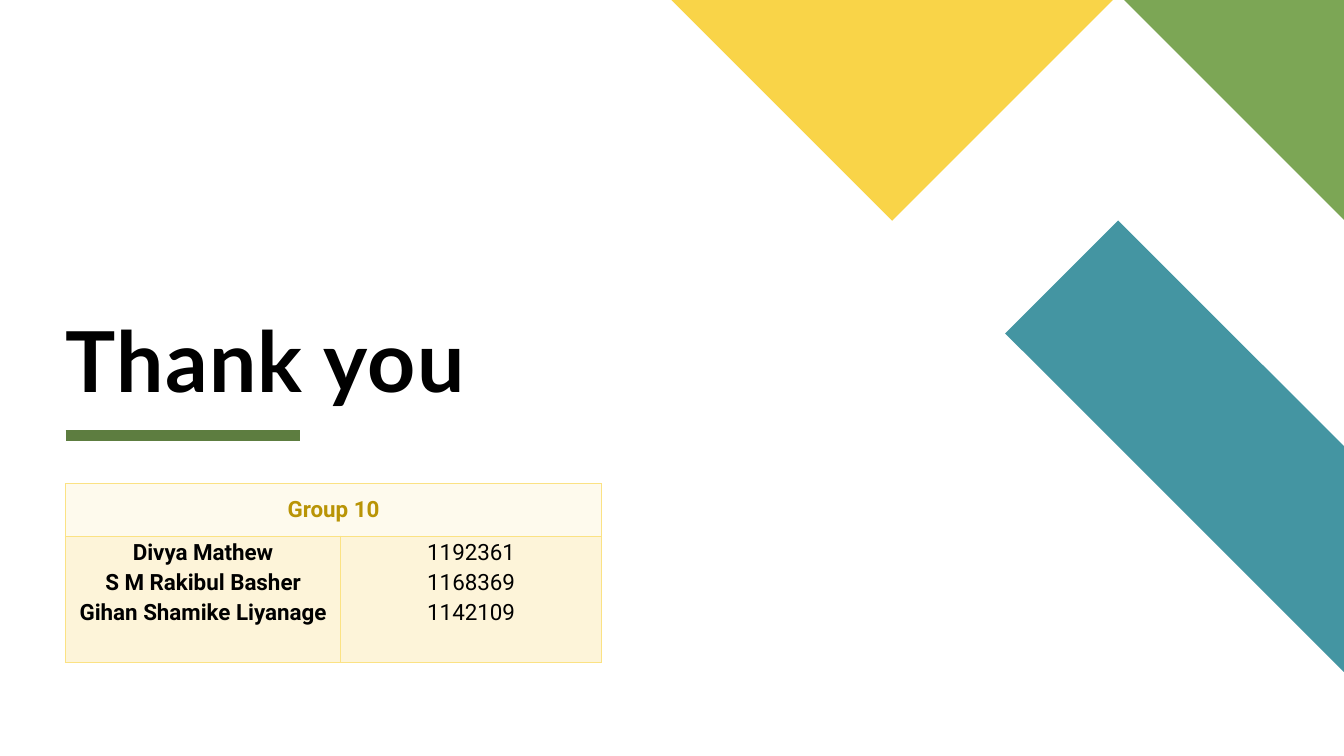
from dataclasses import dataclass
from itertools import product

from pptx import Presentation
from pptx.dml.color import RGBColor as Rgb
from pptx.enum.shapes import MSO_CONNECTOR as Connector
from pptx.enum.text import MSO_ANCHOR as Anchor, PP_ALIGN as Align
from pptx.oxml.ns import qn
from pptx.slide import Slide
from pptx.table import _Cell as Cell
from pptx.text.text import _Paragraph as Paragraph
from pptx.util import Pt
from lxml.etree import SubElement

COLOURS = {
    "teal": "4495A2", "green": "7CA655", "yellow": "F9D448",
    "rule": "5D7D40", "ink": "000000", "border": "FBE284",
    "heading": "B99406", "heading_fill": "FEFAED", "body_fill": "FDF4D9",
}
LEFT = 46.8


@dataclass(frozen=True)
class Corner:
    points: tuple[tuple[float, float], ...]
    colour: str


@dataclass(frozen=True)
class Entry:
    row: int
    column: int
    lines: tuple[str, ...]
    colour: str
    fill: str
    bold: bool
    spacing: float


CORNERS = (
    Corner(((960, 480), (960, 318.7), (798.7, 157.5), (718, 238.2)), "teal"),
    Corner(((960, 157), (960, 0), (803, 0)), "green"),
    Corner(((479.6, 0), (637.3, 157.7), (795, 0)), "yellow"),
)
MEMBERS = (
    ("Divya Mathew", "1192361"),
    ("S M Rakibul Basher", "1168369"),
    ("Gihan Shamike Liyanage", "1142109"),
)
NAMES, NUMBERS = zip(*MEMBERS)
ENTRIES = (
    Entry(0, 0, ("Group 10",), "heading", "heading_fill", True, 1.5),
    Entry(1, 0, NAMES, "ink", "body_fill", True, 1.15),
    Entry(1, 1, NUMBERS, "ink", "body_fill", False, 1.15),
)


def rgb(name: str) -> Rgb:
    return Rgb.from_string(COLOURS[name])


def add_run(paragraph: Paragraph, text: str, font: str, size: float,
            colour: str, bold: bool, tracking: float = 0) -> None:
    run = paragraph.add_run()
    run.text = text
    run.font.name = font
    run.font.size = Pt(size)
    run.font.bold = bold
    run.font.color.rgb = rgb(colour)
    if tracking:
        run._r.get_or_add_rPr().set("spc", str(round(tracking * 100)))


def draw_corner(slide: Slide, corner: Corner) -> None:
    start, *others = [(Pt(x), Pt(y)) for x, y in corner.points]
    builder = slide.shapes.build_freeform(*start)
    builder.add_line_segments(others, close=True)
    block = builder.convert_to_shape()
    block.shadow.inherit = False
    block.fill.solid()
    block.fill.fore_color.rgb = rgb(corner.colour)
    block.line.fill.background()


def draw_title(slide: Slide) -> None:
    rule = slide.shapes.add_connector(
        Connector.STRAIGHT, Pt(LEFT), Pt(311), Pt(214.6), Pt(311))
    rule.line.color.rgb = rgb("rule")
    rule.line.width = Pt(8)
    SubElement(rule._element.spPr, qn("a:effectLst"))

    title = slide.shapes.add_textbox(Pt(LEFT), Pt(32.4), Pt(432), Pt(259.2))
    frame = title.text_frame
    frame.word_wrap = True
    frame.vertical_anchor = Anchor.BOTTOM
    frame.margin_left = frame.margin_right = Pt(0)
    frame.margin_top = frame.margin_bottom = Pt(0)
    thanks = frame.paragraphs[0]
    thanks.line_spacing = 0.8
    add_run(thanks, "Thank you", "Lato", 60, "ink", True, tracking=1)


def add_borders(cell: Cell) -> None:
    properties = cell._tc.get_or_add_tcPr()
    for side in ("L", "R", "T", "B"):
        edge = SubElement(properties, qn(f"a:ln{side}"), w=str(Pt(1)))
        fill = SubElement(edge, qn("a:solidFill"))
        SubElement(fill, qn("a:srgbClr"), val=COLOURS["border"])


def fill_entry(cell: Cell, entry: Entry) -> None:
    cell.fill.solid()
    cell.fill.fore_color.rgb = rgb(entry.fill)
    cell.margin_left = cell.margin_right = Pt(5)
    cell.margin_top = cell.margin_bottom = Pt(0)
    frame = cell.text_frame
    for index, line in enumerate(entry.lines):
        paragraph = frame.add_paragraph() if index else frame.paragraphs[0]
        paragraph.alignment = Align.CENTER
        paragraph.line_spacing = entry.spacing
        add_run(paragraph, line, "Roboto", 16, entry.colour, entry.bold)


def draw_group(slide: Slide) -> None:
    widths, heights = (196.5, 186.5), (37.5, 90)
    group = slide.shapes.add_table(
        len(heights), len(widths), Pt(LEFT), Pt(345.6),
        Pt(sum(widths)), Pt(sum(heights))).table
    for column, width in zip(group.columns, widths):
        column.width = Pt(width)
    for row, height in zip(group.rows, heights):
        row.height = Pt(height)
    for row, column in product(range(len(heights)), range(len(widths))):
        add_borders(group.cell(row, column))
    group.cell(0, 0).merge(group.cell(0, 1))
    for entry in ENTRIES:
        fill_entry(group.cell(entry.row, entry.column), entry)


def main() -> None:
    deck = Presentation()
    deck.slide_width, deck.slide_height = Pt(960), Pt(540)
    slide = deck.slides.add_slide(deck.slide_layouts[6])
    for corner in CORNERS:
        draw_corner(slide, corner)
    draw_title(slide)
    draw_group(slide)
    deck.save("out.pptx")


if __name__ == "__main__":
    main()
